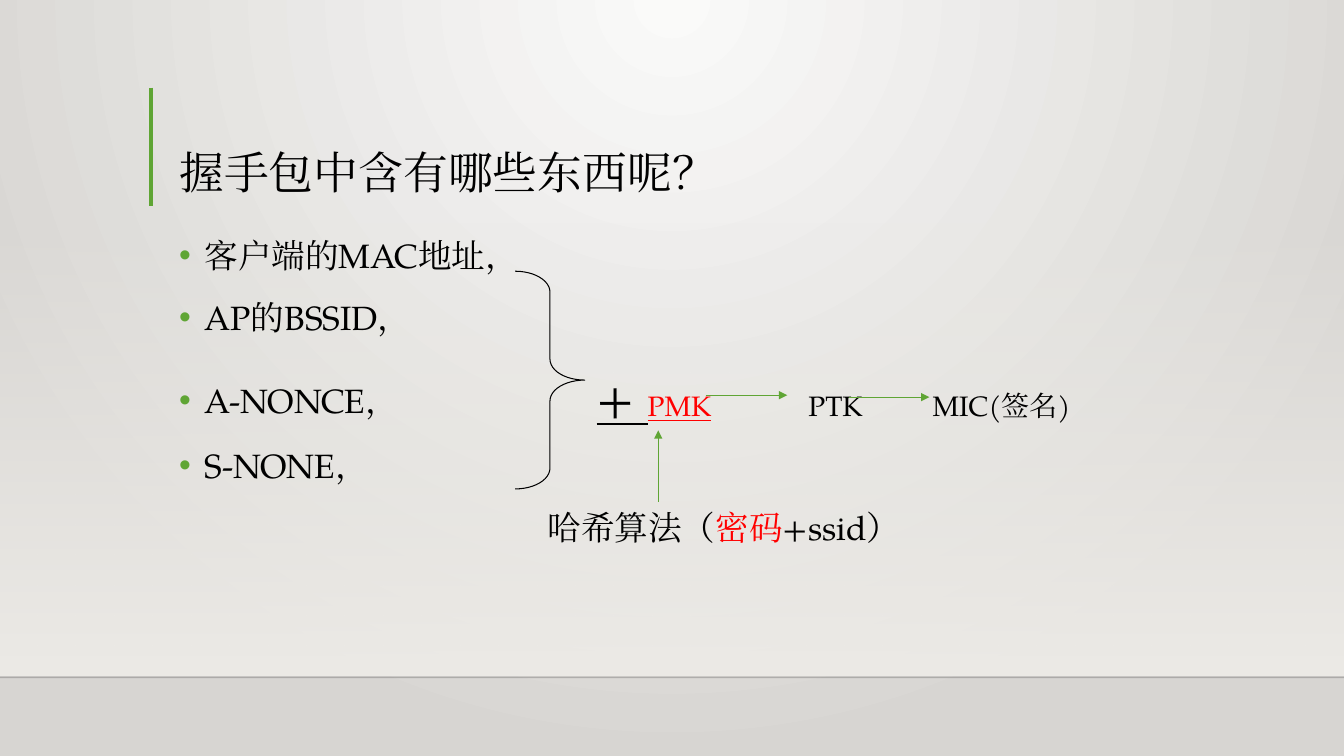
from dataclasses import dataclass, field

from lxml import etree
from pptx import Presentation
from pptx.dml.color import RGBColor
from pptx.enum.shapes import MSO_CONNECTOR, MSO_SHAPE
from pptx.enum.text import MSO_ANCHOR
from pptx.oxml import parse_xml
from pptx.oxml.ns import qn
from pptx.util import Inches, Pt

STRAIGHT = MSO_CONNECTOR.STRAIGHT
RECTANGLE = MSO_SHAPE.RECTANGLE
LEFT_BRACE = MSO_SHAPE.LEFT_BRACE
TOP, BOTTOM = MSO_ANCHOR.TOP, MSO_ANCHOR.BOTTOM

FONT = "TeX Gyre Pagella"
COLORS = {"text": "000000", "accent": "5FA534", "key": "FF0000", "edge": "000001",
          "light": "FAFAF9", "dark": "D7D5D2", "floor": "EDEBE7"}
WIDTH, HEIGHT = Inches(13.333), Inches(7.5)
BULLET_INDENT = Inches(0.25)
DRAWING = "http://schemas.openxmlformats.org/drawingml/2006/main"


@dataclass(frozen=True)
class Span:
    text: str
    size: float = 24
    color: str = "text"
    underline: bool = False


@dataclass(frozen=True)
class Para:
    spans: list[Span]
    bullet: bool = False
    indent: float = 0
    formats: dict = field(default_factory=dict)


@dataclass(frozen=True)
class Box:
    left: float
    top: float
    width: float
    height: float
    paras: list[Para]
    anchor: int = TOP
    padded: bool = False


@dataclass(frozen=True)
class Line:
    start: tuple[float, float]
    end: tuple[float, float]
    color: str = "accent"
    weight: float = 0.75
    arrow: bool = False
    opacity: int = 100


def across(percent: float) -> int:
    return round(WIDTH * percent / 100)


def down(percent: float) -> int:
    return round(HEIGHT * percent / 100)


def apply_formats(target, formats: dict) -> None:
    for name, value in formats.items():
        setattr(target, name, value)


def gradient(stops: list[tuple[int, str, int]], direction: str):
    marks = "".join(
        f'<a:gs pos="{position * 1000}"><a:srgbClr val="{COLORS[color]}">'
        f'<a:alpha val="{opacity * 1000}"/></a:srgbClr></a:gs>'
        for position, color, opacity in stops)
    return parse_xml(f'<a:gradFill xmlns:a="{DRAWING}" rotWithShape="1">'
                     f"<a:gsLst>{marks}</a:gsLst>{direction}</a:gradFill>")


def set_gradient(fill, owner, element) -> None:
    fill.gradient()
    old = next(owner.iter(qn("a:gradFill")))
    old.getparent().replace(old, element)


def draw_line(page, line: Line) -> None:
    connector = page.shapes.add_connector(
        STRAIGHT, across(line.start[0]), down(line.start[1]),
        across(line.end[0]), down(line.end[1]))
    connector.line.width = Pt(line.weight)
    connector.line.color.rgb = RGBColor.from_string(COLORS[line.color])
    outline = connector.line._get_or_add_ln()
    if line.opacity < 100:
        color = next(outline.iter(qn("a:srgbClr")))
        etree.SubElement(color, qn("a:alpha"), val=str(line.opacity * 1000))
    if line.arrow:
        etree.SubElement(outline, qn("a:tailEnd"), type="triangle")
    etree.SubElement(connector._element.spPr, qn("a:effectLst"))


def write_span(paragraph, span: Span) -> None:
    run = paragraph.add_run()
    run.text = span.text
    apply_formats(run.font, {"name": FONT, "size": Pt(span.size),
                             "underline": span.underline})
    run.font.color.rgb = RGBColor.from_string(COLORS[span.color])
    latin = run.font._element.find(qn("a:latin"))
    latin.addnext(parse_xml(f'<a:ea xmlns:a="{DRAWING}" typeface="{FONT}"/>'))


def write_para(paragraph, para: Para) -> None:
    apply_formats(paragraph, para.formats)
    properties = paragraph._p.get_or_add_pPr()
    if para.bullet:
        properties.set("marL", str(BULLET_INDENT))
        properties.set("indent", str(-BULLET_INDENT))
        color = etree.SubElement(properties, qn("a:buClr"))
        etree.SubElement(color, qn("a:srgbClr"), val=COLORS["accent"])
        etree.SubElement(properties, qn("a:buFont"), typeface="Arial")
        etree.SubElement(properties, qn("a:buChar"), char="•")
    elif para.indent:
        properties.set("marL", str(across(para.indent)))
    for span in para.spans:
        write_span(paragraph, span)


def draw_box(page, box: Box) -> None:
    frame = page.shapes.add_textbox(across(box.left), down(box.top),
                                    across(box.width), down(box.height)).text_frame
    apply_formats(frame, {"word_wrap": True, "vertical_anchor": box.anchor})
    if not box.padded:
        apply_formats(frame, dict.fromkeys(
            ("margin_left", "margin_right", "margin_top", "margin_bottom"), 0))
    for index, para in enumerate(box.paras):
        write_para(frame.add_paragraph() if index else frame.paragraphs[0], para)


def body_format(space_before: float = 10) -> dict:
    return {"line_spacing": 1.2, "space_before": Pt(space_before)}


def item(text: str, space_before: float = 10) -> Para:
    return Para([Span(text)], bullet=True, formats=body_format(space_before))


TITLE = Box(12.6, 11.73, 78.08, 15.33, [
    Para([Span("握手包中含有哪些东西呢？", 32)], formats={"line_spacing": 0.9}),
], BOTTOM, True)
CONTENTS = Box(12.6, 29.33, 78.08, 50.27, [
    item("客户端的MAC地址，"),
    item("AP的BSSID，"),
    item("A-NONCE，", 24.5),
    item("S-NONE，", 12),
    Para([Span("哈希算法（"), Span("密码", color="key"), Span("+ssid）")],
         indent=27.4, formats=body_format()),
], padded=True)
FORMULA = [
    Box(44.4, 48.4, 12, 8, [Para([Span("+ ", 36, underline=True),
                                  Span("PMK", 20, "key", True)])]),
    Box(60.15, 51.33, 6, 5, [Para([Span("PTK", 20)])]),
    Box(69.4, 51.33, 16, 5, [Para([Span("MIC(签名)", 20)])]),
]
FRAME_LINES = [
    Line((0, 89.6), (100, 89.6), "edge", 1, opacity=20),
    Line((11.25, 11.6), (11.25, 27.2), weight=3),
]
ARROWS = [
    Line((52.5, 52.27), (58.58, 52.27), arrow=True),
    Line((48.98, 66.4), (48.98, 56.93), arrow=True),
    Line((63.15, 52.53), (69.15, 52.53), arrow=True),
]

deck = Presentation()
apply_formats(deck, {"slide_width": WIDTH, "slide_height": HEIGHT})
page = deck.slides.add_slide(deck.slide_layouts[6])
set_gradient(page.background.fill, page._element, gradient(
    [(0, "light", 100), (100, "dark", 100)],
    '<a:path path="circle"><a:fillToRect l="43000" r="43000" b="100000"/></a:path>'))

floor = page.shapes.add_shape(RECTANGLE, 0, down(29.33), WIDTH, down(60))
floor.shadow.inherit = False
floor.line.fill.background()
set_gradient(floor.fill, floor._element, gradient(
    [(0, "floor", 0), (100, "floor", 100)], '<a:lin ang="5400000" scaled="0"/>'))

for line in FRAME_LINES:
    draw_line(page, line)
for box in [TITLE, CONTENTS, *FORMULA]:
    draw_box(page, box)

brace = page.shapes.add_shape(LEFT_BRACE, across(38.33), down(35.87),
                              across(5.18), down(28.8))
brace.rotation = 180
brace.adjustments[0], brace.adjustments[1] = 0.3, 0.5
brace.shadow.inherit = False
brace.fill.background()
brace.line.width = Pt(0.75)
brace.line.color.rgb = RGBColor.from_string(COLORS["text"])

for arrow in ARROWS:
    draw_line(page, arrow)

deck.save("out.pptx")
